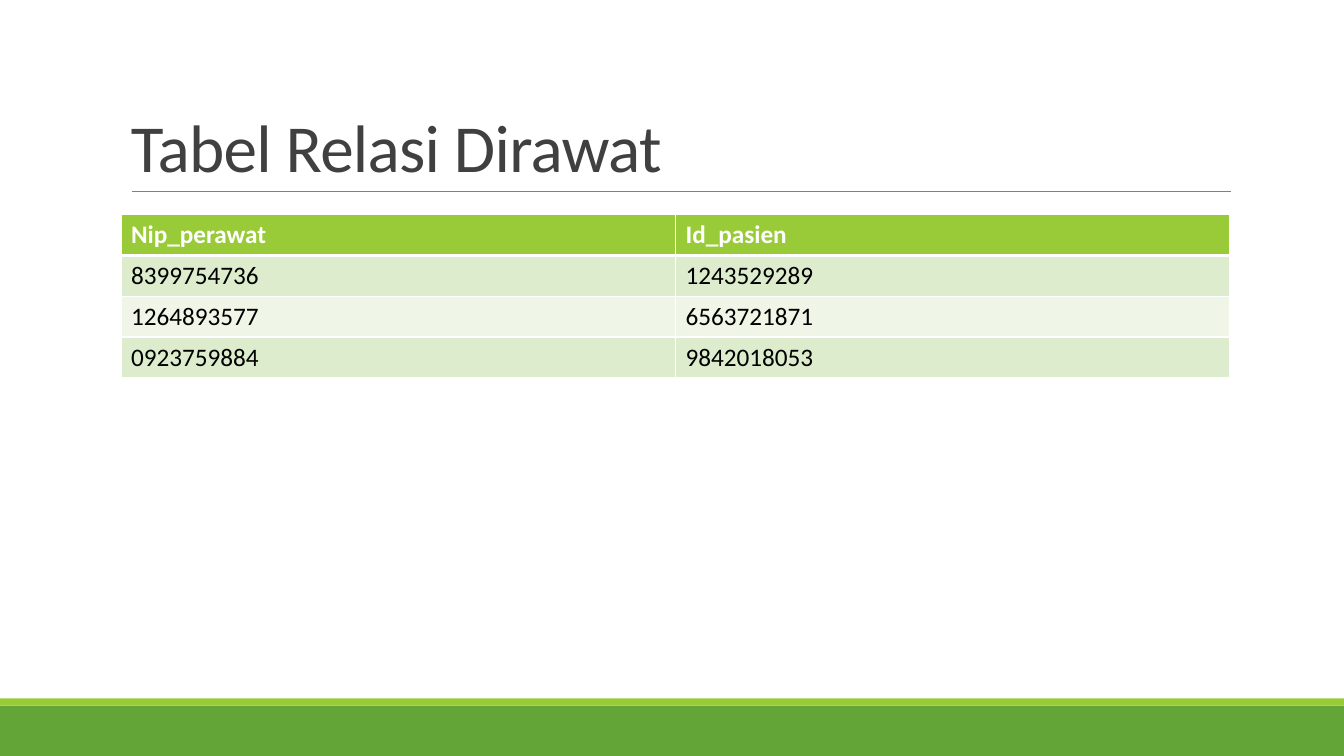
from lxml import etree
from pptx import Presentation, util as u
from pptx.dml.color import RGBColor
from pptx.enum import shapes, text
from pptx.oxml.ns import qn

GREEN = RGBColor(0x63, 0xA5, 0x37)
LIME = RGBColor(0x99, 0xCB, 0x38)
PALE = RGBColor(0xDE, 0xEC, 0xCE)
MIST = RGBColor(0xEF, 0xF6, 0xE8)
GREY = RGBColor(0x80, 0x80, 0x80)
DARK = RGBColor(0x40, 0x40, 0x40)
BLACK = RGBColor(0, 0, 0)
WHITE = RGBColor(0xFF, 0xFF, 0xFF)

ROWS = [
    ("Nip_perawat", "Id_pasien"),
    ("8399754736", "1243529289"),
    ("1264893577", "6563721871"),
    ("0923759884", "9842018053"),
]


class Deck:
    font = "Calibri"

    def __init__(self, wide, high):
        self.prs = Presentation()
        self.prs.slide_width = u.Inches(wide)
        self.prs.slide_height = u.Inches(high)
        self.slide = self.prs.slides.add_slide(self.prs.slide_layouts[6])

    def band(self, x, y, w, h, color):
        box = self.slide.shapes.add_shape(
            shapes.MSO_SHAPE.RECTANGLE, *map(u.Inches, (x, y, w, h)))
        box.shadow.inherit = False
        box.fill.solid()
        box.fill.fore_color.rgb = color
        box.line.fill.background()

    def rule(self, x, y, end, color, width):
        line = self.slide.shapes.add_connector(
            shapes.MSO_CONNECTOR.STRAIGHT, *map(u.Inches, (x, y, end, y)))
        line.line.color.rgb = color
        line.line.width = u.Pt(width)
        etree.SubElement(line._element.spPr, qn("a:effectLst"))

    def label(self, para, words, size, color, bold=False):
        run = para.add_run()
        run.text = words
        run.font.name = self.font
        run.font.size = u.Pt(size)
        run.font.bold = bold
        run.font.color.rgb = color
        return run

    def title(self, x, y, w, h, words):
        box = self.slide.shapes.add_textbox(*map(u.Inches, (x, y, w, h)))
        frame = box.text_frame
        frame.word_wrap = True
        frame.vertical_anchor = text.MSO_ANCHOR.BOTTOM
        para = frame.paragraphs[0]
        para.line_spacing = 0.85
        run = self.label(para, words, 48, DARK)
        run.font._element.set("spc", "-50")

    def edge(self, cell, side, width):
        """Draw a white border on one side (L, R, T or B) of a cell."""
        line = etree.SubElement(
            cell._tc.get_or_add_tcPr(), qn(f"a:ln{side}"), w=str(u.Pt(width)))
        fill = etree.SubElement(line, qn("a:solidFill"))
        etree.SubElement(fill, qn("a:srgbClr"), val=str(WHITE))

    def table(self, x, y, w, h, rows):
        grid = self.slide.shapes.add_table(
            len(rows), len(rows[0]), *map(u.Inches, (x, y, w, h))).table
        for r, row in enumerate(rows):
            head = r == 0
            for c, words in enumerate(row):
                cell = grid.cell(r, c)
                for side in "LRTB":
                    thick = (r, side) in ((0, "B"), (1, "T"))
                    self.edge(cell, side, 3 if thick else 1)
                cell.fill.solid()
                cell.fill.fore_color.rgb = LIME if head else PALE if r % 2 else MIST
                self.label(cell.text_frame.paragraphs[0], words, 18,
                           WHITE if head else BLACK, head)


def main():
    deck = Deck(13.33, 7.5)
    deck.band(0, 7, 13.33, 0.5, GREEN)
    deck.band(0, 6.93, 13.33, 0.07, LIME)
    deck.rule(1.31, 1.9, 12.21, GREY, 0.5)
    deck.title(1.2, 0.31, 11, 1.59, "Tabel Relasi Dirawat")
    deck.table(1.2, 2.13, 11, 1.62, ROWS)
    deck.prs.save("out.pptx")


if __name__ == "__main__":
    main()
